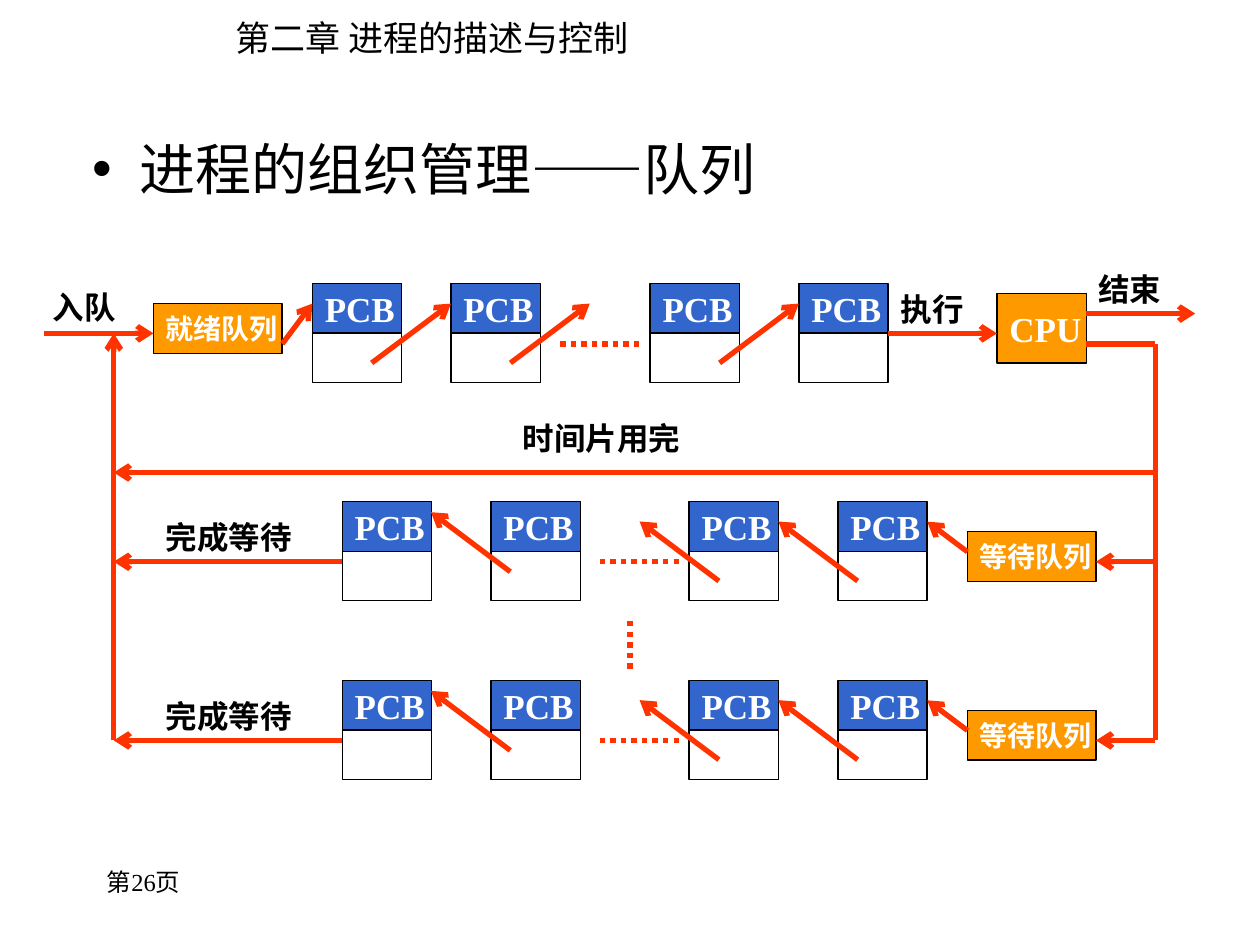
import lxml.etree
import pptx
import pptx.dml.color
import pptx.enum.dml
import pptx.enum.shapes
import pptx.enum.text
import pptx.oxml.ns
import pptx.util

Pt = pptx.util.Pt
RGBColor = pptx.dml.color.RGBColor
Anchor = pptx.enum.text.MSO_ANCHOR
qn = pptx.oxml.ns.qn

BLACK = RGBColor(0x00, 0x00, 0x00)
WHITE = RGBColor(0xFF, 0xFF, 0xFF)
RED = RGBColor(0xFF, 0x33, 0x00)
BLUE = RGBColor(0x33, 0x66, 0xCC)
ORANGE = RGBColor(0xFF, 0x99, 0x00)

LATIN_FONT = "Times New Roman"
CHINESE_FONT = "Noto Sans CJK SC"

PCB_WIDTH, PCB_HALF = 51, 28.35
QUEUE_WIDTH = 73.5
READY_TOP = 162
READY_COLUMNS = (178.5, 257.7, 371.5, 456.5)
READY_ARROW_TIPS = (257.7, 337, 456.5)
WAITING_COLUMNS = (195.6, 280.6, 393.8, 478.8)
WAITING_TOPS = (286.7, 388.8)
WAITING_LEFT = 552.8
LEFT_RAIL, RIGHT_RAIL = 65, 660.2
CPU_LEFT, CPU_RIGHT = 569.7, 620.8
ENTRY_Y = 190.5

LABELS = (
    ("时间片用完", 291.8, 236, 130),
    ("入队", 23, 161.3, 57),
    ("执行", 507.6, 162, 57),
    ("结束", 620.6, 151, 57),
)


def write_text(shape, text, size, color=BLACK, bold=False, font=LATIN_FONT,
               wrap=True, anchor=Anchor.TOP):
    frame = shape.text_frame
    frame.word_wrap = wrap
    frame.auto_size = pptx.enum.text.MSO_AUTO_SIZE.NONE
    frame.vertical_anchor = anchor
    paragraph = frame.paragraphs[0]
    paragraph.alignment = pptx.enum.text.PP_ALIGN.LEFT
    run = paragraph.add_run()
    run.text = text
    for name, value in {"name": font, "size": Pt(size), "bold": bold}.items():
        setattr(run.font, name, value)
    run.font.color.rgb = color
    properties = run.font._element
    east_asian = lxml.etree.SubElement(properties, qn("a:ea"))
    east_asian.set("typeface", CHINESE_FONT)


def place(shape, left, top, width, height):
    bounds = {"left": left, "top": top, "width": width, "height": height}
    for name, value in bounds.items():
        setattr(shape, name, Pt(value))


def add_label(slide, text, left, top, width, size=18, bold=True):
    shape = slide.shapes.add_textbox(Pt(left), Pt(top), Pt(width), Pt(29))
    write_text(shape, text, size, bold=bold)


def add_box(slide, left, top, width, height, fill, text="", size=20):
    shape = slide.shapes.add_shape(
        pptx.enum.shapes.MSO_SHAPE.RECTANGLE,
        Pt(left), Pt(top), Pt(width), Pt(height))
    shape.shadow.inherit = False
    shape.fill.solid()
    shape.fill.fore_color.rgb = fill
    shape.line.color.rgb = BLACK
    shape.line.width = Pt(0.75)
    if text:
        write_text(shape, text, size, WHITE, True, wrap=False,
                   anchor=Anchor.MIDDLE)


def add_line(slide, start, end, arrow=False, dotted=False):
    line = slide.shapes.add_connector(
        pptx.enum.shapes.MSO_CONNECTOR.STRAIGHT,
        *(Pt(value) for value in (*start, *end)))
    line.line.color.rgb = RED
    line.line.width = Pt(3)
    if dotted:
        line.line.dash_style = pptx.enum.dml.MSO_LINE.ROUND_DOT
    if arrow:
        tail = lxml.etree.SubElement(line.line._get_or_add_ln(), qn("a:tailEnd"))
        tail.set("type", "arrow")
    lxml.etree.SubElement(line._element.spPr, qn("a:effectLst"))


def add_pcb_row(slide, columns, top):
    for left in columns:
        add_box(slide, left, top, PCB_WIDTH, PCB_HALF, BLUE, "PCB")
        add_box(slide, left, top + PCB_HALF, PCB_WIDTH, PCB_HALF, WHITE)


def add_ready_queue(slide):
    add_pcb_row(slide, READY_COLUMNS, READY_TOP)
    add_box(slide, 87.7, 173.5, QUEUE_WIDTH, PCB_HALF, ORANGE, "就绪队列", 16)
    add_line(slide, (161.3, 196.5), (READY_COLUMNS[0], 173.5), arrow=True)
    for tip in READY_ARROW_TIPS:
        add_line(slide, (tip - 45.3, 207.4), (tip, 173.5), arrow=True)
    add_line(slide, (320.2, 196.5), (365.6, 196.5), dotted=True)


def add_cpu(slide):
    add_box(slide, CPU_LEFT, 167.8, PCB_WIDTH, 39.7, ORANGE, "CPU")
    add_line(slide, (507.5, ENTRY_Y), (CPU_LEFT, ENTRY_Y), arrow=True)
    add_line(slide, (CPU_RIGHT, 179.2), (683, 179.2), arrow=True)
    add_line(slide, (CPU_RIGHT, 196.5), (RIGHT_RAIL, 196.5))


def add_waiting_queue(slide, top):
    add_pcb_row(slide, WAITING_COLUMNS, top)
    add_box(slide, WAITING_LEFT, top + 17.2, QUEUE_WIDTH, PCB_HALF,
            ORANGE, "等待队列", 16)
    middle = top + 34.3
    add_line(slide, (RIGHT_RAIL, middle), (WAITING_LEFT + QUEUE_WIDTH, middle),
             arrow=True)
    add_line(slide, (WAITING_LEFT, top + 28.6), (529.9, top + 11.4), arrow=True)
    for column, right, down in ((1, 11, 40), (2, 17, 45.3), (3, 11.3, 45.3)):
        x, y = WAITING_COLUMNS[column] + right, top + down
        add_line(slide, (x, y), (x - 45.3, y - 34), arrow=True)
    add_line(slide, (342.8, middle), (388.2, middle), dotted=True)
    add_line(slide, (WAITING_COLUMNS[0], middle), (LEFT_RAIL, middle), arrow=True)
    add_label(slide, "完成等待", 87.7, top + 5.7, 96.5)


def add_rails(slide):
    """Draw the return paths shared by every queue."""
    add_line(slide, (LEFT_RAIL, 423), (LEFT_RAIL, ENTRY_Y), arrow=True)
    add_line(slide, (25.3, ENTRY_Y), (87.7, ENTRY_Y), arrow=True)
    add_line(slide, (RIGHT_RAIL, 423), (RIGHT_RAIL, 196.5))
    add_line(slide, (RIGHT_RAIL, 270), (LEFT_RAIL, 270), arrow=True)
    add_line(slide, (360, 355), (360, 383), dotted=True)


def add_headings(slide):
    title = slide.shapes.title
    place(title, 127.4, 5.8, 243.4, 31.7)
    write_text(title, "第二章 进程的描述与控制", 20, font=CHINESE_FONT, wrap=False)

    body = slide.placeholders[1]
    place(body, 45.4, 73.4, 612, 324)
    paragraph = body.text_frame.paragraphs[0]
    properties = paragraph._p.get_or_add_pPr()
    properties.set("marL", str(Pt(27)))
    properties.set("indent", str(-Pt(27)))
    bullet = lxml.etree.SubElement(properties, qn("a:buChar"))
    bullet.set("char", "•")
    paragraph.space_before = Pt(0)
    write_text(body, "进程的组织管理——队列", 32)


def main():
    presentation = pptx.Presentation()
    presentation.slide_width = Pt(720)
    presentation.slide_height = Pt(540)
    slide = presentation.slides.add_slide(presentation.slide_layouts[1])
    add_headings(slide)
    add_label(slide, "第26页", 54, 491.8, 150, size=14, bold=False)
    add_rails(slide)
    add_ready_queue(slide)
    add_cpu(slide)
    for top in WAITING_TOPS:
        add_waiting_queue(slide, top)
    for label in LABELS:
        add_label(slide, *label)
    presentation.save("out.pptx")


if __name__ == "__main__":
    main()
